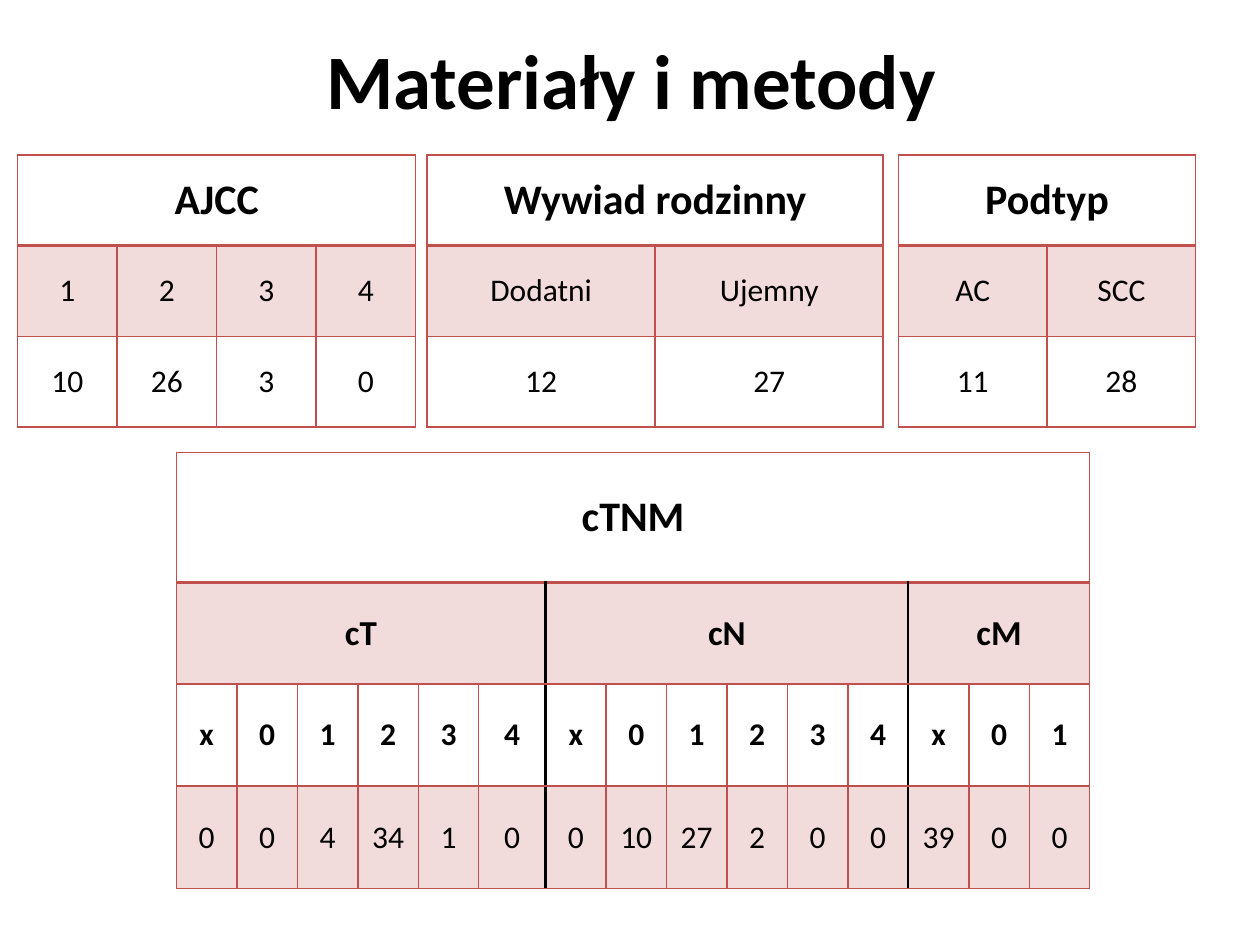
from lxml.etree import SubElement
from pptx import Presentation
from pptx.dml.color import RGBColor
from pptx.enum.text import MSO_ANCHOR, PP_ALIGN
from pptx.oxml import parse_xml
from pptx.oxml.ns import nsdecls, qn
from pptx.util import Inches, Pt

BLACK = RGBColor(0x00, 0x00, 0x00)
RED = RGBColor(0xC0, 0x50, 0x4D)
BAND_ALPHA = 20
FONT = "Calibri"

TITLE = "Materiały i metody"

# Each row: (texts, size, bold); a text may be a (text, column span) pair.
FAMILY = [
    ([("Wywiad rodzinny", 2)], 24, True),
    (["Dodatni", "Ujemny"], 18, False),
    (["12", "27"], 18, False),
]
SUBTYPE = [
    ([("Podtyp", 2)], 24, True),
    (["AC", "SCC"], 18, False),
    (["11", "28"], 18, False),
]
AJCC = [
    ([("AJCC", 4)], 24, True),
    (["1", "2", "3", "4"], 18, False),
    (["10", "26", "3", "0"], 18, False),
]
CTNM = [
    ([("cTNM", 15)], 24, True),
    ([("cT", 6), ("cN", 6), ("cM", 3)], 20, True),
    (["x", "0", "1", "2", "3", "4"] * 2 + ["x", "0", "1"], 18, True),
    (["0", "0", "4", "34", "1", "0",
      "0", "10", "27", "2", "0", "0",
      "39", "0", "0"], 18, False),
]

TOP = 1.23
SHORT_ROWS = [0.72] * 3
CTNM_COLUMNS = [0.48] * 5 + [0.53] + [0.48] * 9
GROUP_STARTS = (6, 12)

# (rows, left, top, column widths, row heights, columns that start a group)
TABLES = [
    (FAMILY, 3.39, TOP, [1.81] * 2, SHORT_ROWS, ()),
    (CTNM, 1.4, 3.59, CTNM_COLUMNS, [1.03] + [0.81] * 3, GROUP_STARTS),
    (SUBTYPE, 7.13, TOP, [1.18] * 2, SHORT_ROWS, ()),
    (AJCC, 0.14, TOP, [0.79] * 4, SHORT_ROWS, ()),
]


def set_borders(cell, borders):
    """Draw the sides given as {"L": (colour, points), ...}."""
    properties = cell._tc.get_or_add_tcPr()
    for position, side in enumerate("LRTB"):
        colour, points = borders[side]
        properties.insert(position, parse_xml(
            f'<a:ln{side} {nsdecls("a")} w="{Pt(points)}" cap="flat" cmpd="sng">'
            f'<a:solidFill><a:srgbClr val="{colour}"/></a:solidFill>'
            f'<a:prstDash val="solid"/></a:ln{side}>'))


def set_fill(cell, banded):
    if not banded:
        cell.fill.background()
        return
    cell.fill.solid()
    cell.fill.fore_color.rgb = RED
    colour = cell._tc.tcPr.find(f'{qn("a:solidFill")}/{qn("a:srgbClr")}')
    SubElement(colour, qn("a:alpha"), val=str(BAND_ALPHA * 1000))


def set_text(cell, text, size, bold):
    cell.text_frame.text = text
    cell.vertical_anchor = MSO_ANCHOR.MIDDLE
    paragraph = cell.text_frame.paragraphs[0]
    paragraph.alignment = PP_ALIGN.CENTER
    format_font(paragraph.runs[0].font, size, bold)


def format_font(font, size, bold):
    font.name, font.size, font.bold = FONT, Pt(size), bold
    font.color.rgb = BLACK


def add_grid(slide, rows, left, top, widths, heights, group_starts):
    table = slide.shapes.add_table(
        len(heights), len(widths), Inches(left), Inches(top),
        Inches(sum(widths)), Inches(sum(heights))).table
    table.first_row = table.horz_banding = False
    for column, width in zip(table.columns, widths):
        column.width = Inches(width)
    for row, height in zip(table.rows, heights):
        row.height = Inches(height)

    thin, header_rule, group_rule = (RED, 1), (RED, 2), (BLACK, 1.5)
    for r, (entries, size, bold) in enumerate(rows):
        for c in range(len(widths)):
            cell = table.cell(r, c)
            set_borders(cell, {
                "L": group_rule if r and c in group_starts else thin,
                "R": group_rule if r and c + 1 in group_starts else thin,
                "T": thin,
                "B": thin if r else header_rule,
            })
            set_fill(cell, banded=r % 2 == 1)
        c = 0
        for entry in entries:
            text, span = entry if isinstance(entry, tuple) else (entry, 1)
            if span > 1:
                table.cell(r, c).merge(table.cell(r, c + span - 1))
            set_text(table.cell(r, c), text, size, bold)
            c += span


def main():
    deck = Presentation()
    deck.slide_width, deck.slide_height = Inches(10), Inches(7.5)
    slide = deck.slides.add_slide(deck.slide_layouts[5])

    for table in TABLES:
        add_grid(slide, *table)

    title = slide.shapes.title
    title.left, title.top = Inches(0.51), Inches(0)
    title.width, title.height = Inches(9), Inches(1.25)
    title.text_frame.text = TITLE
    title.text_frame.vertical_anchor = MSO_ANCHOR.MIDDLE
    heading = title.text_frame.paragraphs[0]
    heading.alignment = PP_ALIGN.CENTER
    format_font(heading.runs[0].font, 44, True)

    deck.save("out.pptx")


if __name__ == "__main__":
    main()
